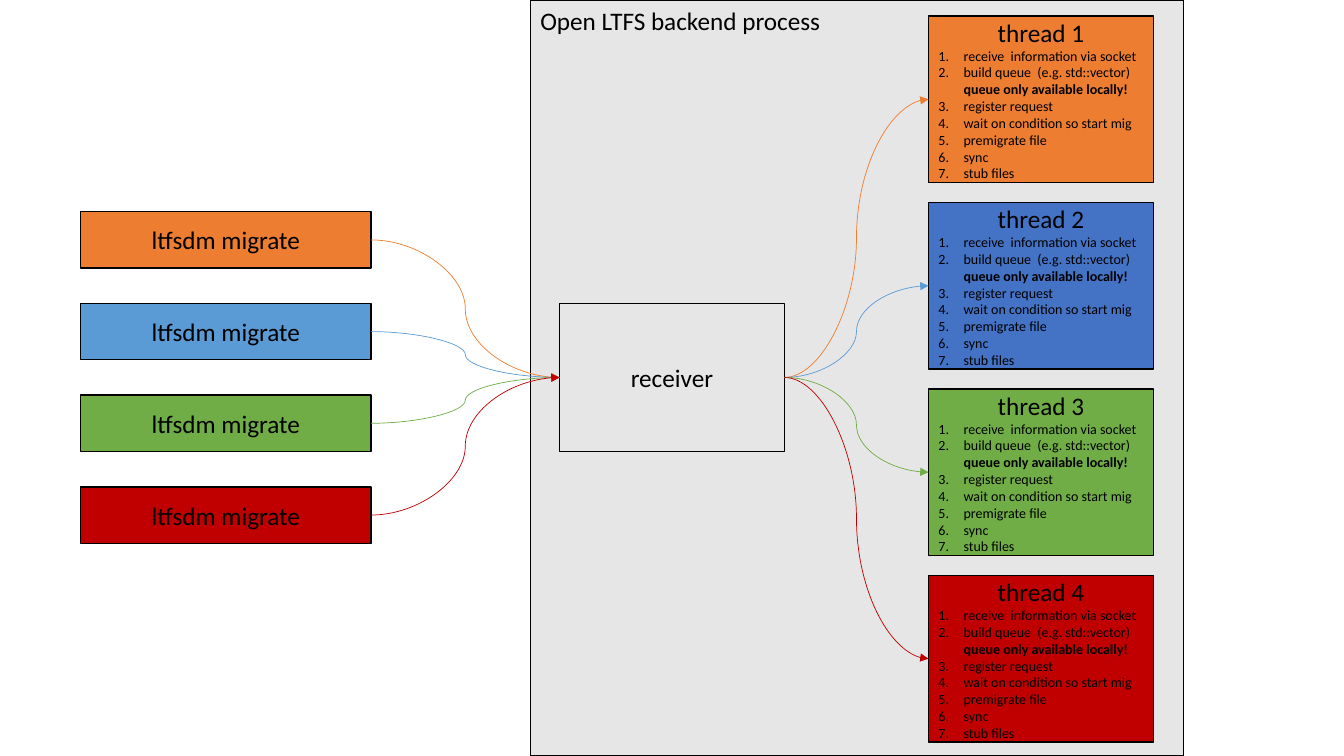
from lxml.etree import SubElement
from pptx import Presentation
from pptx.dml.color import RGBColor
from pptx.enum.shapes import MSO_CONNECTOR, MSO_SHAPE
from pptx.enum.text import MSO_ANCHOR, PP_ALIGN
from pptx.oxml.ns import qn
from pptx.util import Inches, Pt

# Content
PROCESS = "Open LTFS backend process"
RECEIVER = "receiver"
COMMAND = "ltfsdm migrate"
# One request each: client and arrow colour, thread colour
REQUESTS = [("orange", "orange"), ("light_blue", "blue"),
            ("green", "green"), ("red", "red")]
# Thread steps: text, bold second line
STEPS = [
    ("receive  information via socket", None),
    ("build queue  (e.g. std::vector)", "queue only available locally!"),
    ("register request", None),
    ("wait on condition so start mig", None),
    ("premigrate file", None),
    ("sync", None),
    ("stub files", None),
]

THEME = {
    "font": "Calibri", "title": 18, "step": 10, "outline": 1, "arrow": 0.5,
    "black": "000000", "grey": "E7E6E6", "orange": "ED7D31",
    "light_blue": "5B9BD5", "blue": "4472C4", "green": "70AD47", "red": "C00000",
}

# Layout in inches: left, top, width, height
PROCESS_BOX = (5.26, 0, 6.48, 7.5)
RECEIVER_BOX = (5.55, 3.01, 2.23, 1.47)
CLIENT_BOX, CLIENT_PITCH = (0.8, 2.1, 2.88, 0.56), 0.91
THREAD_BOX, THREAD_PITCH = (9.21, 0.16, 2.23, 1.65), 1.85
STEP_INDENT = 0.25
LEFT_SITE, RIGHT_SITE = 1, 3


def color(name):
    return RGBColor.from_string(THEME[name])


def stacked(box, pitch, index):
    left, top, width, height = box
    return left, top + index * pitch, width, height


def add_text(paragraph, text, size="title", bold=False):
    run = paragraph.add_run()
    run.text = text
    run.font.color.rgb = color("black")
    formats = {"name": THEME["font"], "size": Pt(THEME[size]), "bold": bold}
    for attribute, value in formats.items():
        setattr(run.font, attribute, value)


def add_box(slide, box, fill, title, align=PP_ALIGN.CENTER, anchor=MSO_ANCHOR.MIDDLE):
    shape = slide.shapes.add_shape(MSO_SHAPE.RECTANGLE, *map(Inches, box))
    shape.shadow.inherit = False
    shape.fill.solid()
    shape.fill.fore_color.rgb = color(fill)
    shape.line.color.rgb = color("black")
    shape.line.width = Pt(THEME["outline"])
    for attribute, value in {"word_wrap": True, "vertical_anchor": anchor}.items():
        setattr(shape.text_frame, attribute, value)
    paragraph = shape.text_frame.paragraphs[0]
    paragraph.alignment = align
    add_text(paragraph, title)
    return shape


def add_step(text_frame, text, bold_line):
    paragraph = text_frame.add_paragraph()
    paragraph.alignment = PP_ALIGN.LEFT
    properties = paragraph._p.get_or_add_pPr()
    properties.set("marL", str(Inches(STEP_INDENT)))
    properties.set("indent", str(-Inches(STEP_INDENT)))
    SubElement(properties, qn("a:buFont"), typeface="+mj-lt")
    SubElement(properties, qn("a:buAutoNum"), type="arabicPeriod")
    add_text(paragraph, text, "step")
    if bold_line:
        paragraph.add_line_break()
        add_text(paragraph, bold_line, "step", True)


def add_arrow(slide, source, target, line_color):
    arrow = slide.shapes.add_connector(MSO_CONNECTOR.CURVE, 0, 0, 0, 0)
    arrow.begin_connect(source, RIGHT_SITE)
    arrow.end_connect(target, LEFT_SITE)
    arrow.line.color.rgb = color(line_color)
    arrow.line.width = Pt(THEME["arrow"])
    SubElement(arrow.line._get_or_add_ln(), qn("a:tailEnd"), type="triangle")
    SubElement(arrow._element.spPr, qn("a:effectLst"))


def main():
    presentation = Presentation()
    presentation.slide_width = Inches(13.33)
    presentation.slide_height = Inches(7.5)
    slide = presentation.slides.add_slide(presentation.slide_layouts[6])

    # Backend process and its receiver
    add_box(slide, PROCESS_BOX, "grey", PROCESS, PP_ALIGN.LEFT, MSO_ANCHOR.TOP)
    receiver = add_box(slide, RECEIVER_BOX, "grey", RECEIVER)

    # Client, thread and arrows of each request
    for index, (client_color, thread_color) in enumerate(REQUESTS):
        client = add_box(slide, stacked(CLIENT_BOX, CLIENT_PITCH, index),
                         client_color, COMMAND)
        thread = add_box(slide, stacked(THREAD_BOX, THREAD_PITCH, index),
                         thread_color, f"thread {index + 1}")
        for text, bold_line in STEPS:
            add_step(thread.text_frame, text, bold_line)
        add_arrow(slide, client, receiver, client_color)
        add_arrow(slide, receiver, thread, client_color)

    presentation.save("out.pptx")


if __name__ == "__main__":
    main()
